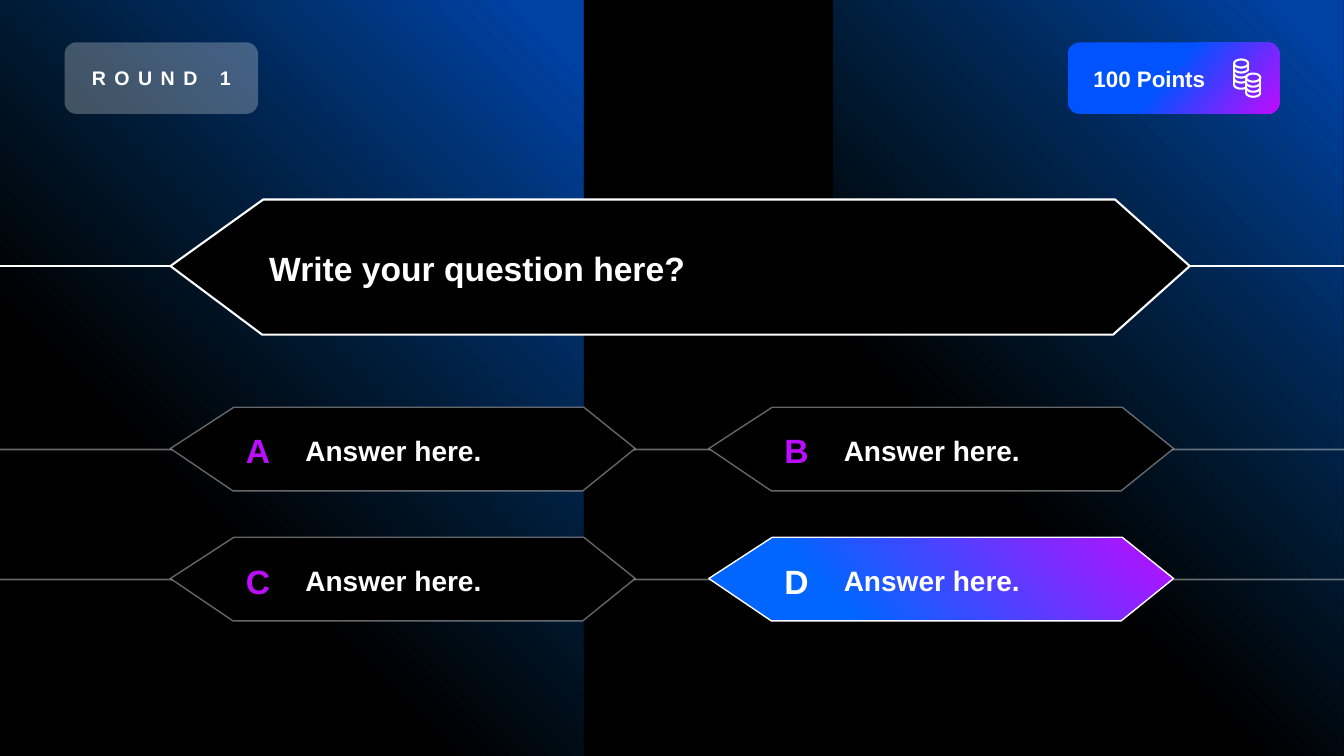
from math import cos, radians, sin

from lxml import etree
from pptx import Presentation
from pptx.dml.color import RGBColor
from pptx.enum import shapes, text
from pptx.oxml import ns
from pptx.util import Inches, Pt

BLACK = RGBColor(0x00, 0x00, 0x00)
WHITE = RGBColor(0xFF, 0xFF, 0xFF)
PURPLE = RGBColor(0xBD, 0x0D, 0xFF)
BLUE = RGBColor(0x00, 0x66, 0xFF)
ROYAL = RGBColor(0x00, 0x53, 0xFF)
SKY = RGBColor(0x00, 0x70, 0xC0)

WIDE, HIGH = 13.33, 7.5
QUESTION = "Write your question here?"
ANSWERS = [
    [("A", "Answer here."), ("B", "Answer here.")],
    [("C", "Answer here."), ("D", "Answer here.")],
]
RIGHT = "D"
ROUND = "ROUND 1"
POINTS = "100 Points"

GLOW = [(6, BLUE, 63), (66, SKY, 0), (100, BLACK, 0)]
PICK = [(0, PURPLE, 100), (73, BLUE, 100)]
PRIZE = [(47, ROYAL, 100), (99, PURPLE, 100)]
PANELS = [(0, 0.01, 5.79, True), (8.27, 0, 5.06, False)]

ASK = [(1.69, 2.64), (2.61, 1.98), (11.06, 1.98), (11.8, 2.64), (11.04, 3.32), (2.6, 3.32)]
REPLY = [(0, 0.41), (0.63, 0), (4.1, 0), (4.61, 0.41), (4.09, 0.83), (0.62, 0.83)]
LEFT, TOP, STEP, DROP = 1.69, 4.04, 5.34, 1.29

COIN_W, COIN_H = 0.07, 0.04
STACKS = [
    (12.31, 0.63, 0.7, [(0.68, 0), (0.73, 30), (0.78, 45), (0.84, 45)]),
    (12.43, 0.77, 0.92, [(0.82, 0), (0.87, 0), (0.92, 0)]),
]

deck = Presentation()
deck.slide_width, deck.slide_height = Inches(WIDE), Inches(HIGH)
slide = deck.slides.add_slide(deck.slide_layouts[5])
slide.background.fill.solid()
slide.background.fill.fore_color.rgb = BLACK
items = slide.shapes


def box(*sizes):
    return [Inches(size) for size in sizes]


def node(parent, tag, **marks):
    return etree.SubElement(parent, ns.qn("a:" + tag), **marks)


def fade(color, alpha):
    if alpha < 100:
        node(color, "alpha", val=str(alpha * 1000))


def fill(shape, rgb, alpha=100):
    shape.fill.solid()
    shape.fill.fore_color.rgb = rgb
    fade(shape._element.spPr.find(".//" + ns.qn("a:srgbClr")), alpha)


def blend(shape, stops, angle=None):
    shape.fill.gradient()
    grad = shape._element.spPr.find(ns.qn("a:gradFill"))
    grad.clear()
    grad.set("rotWithShape", "1")
    steps = node(grad, "gsLst")
    for place, rgb, alpha in stops:
        stop = node(steps, "gs", pos=str(place * 1000))
        fade(node(stop, "srgbClr", val=str(rgb)), alpha)
    if angle is None:
        ring = node(grad, "path", path="circle")
        node(ring, "fillToRect", l="100000", b="100000")
        node(grad, "tileRect", t="-100000", r="-100000")
    else:
        node(grad, "lin", ang=str(angle * 60000), scaled="0")


def stroke(shape, width, alpha=100):
    shape.line.color.rgb = WHITE
    shape.line.width = Pt(width)
    ln = shape._element.spPr.find(ns.qn("a:ln"))
    fade(ln.find(".//" + ns.qn("a:srgbClr")), alpha)


def rule(y, width, alpha=100):
    line = items.add_connector(shapes.MSO_CONNECTOR.STRAIGHT, *box(0, y, WIDE, y))
    stroke(line, width, alpha)
    node(line._element.spPr, "effectLst")


def trace(points, closed=True):
    spots = [box(*point) for point in points]
    pen = items.build_freeform(*spots[0])
    pen.add_line_segments(spots[1:], close=closed)
    shape = pen.convert_to_shape()
    shape.shadow.inherit = False
    return shape


def block(kind, place):
    shape = items.add_shape(kind, *box(*place))
    shape.shadow.inherit = False
    shape.line.fill.background()
    return shape


def write(shape, words, size, rgb=WHITE, align=text.PP_ALIGN.LEFT):
    frame = shape.text_frame
    frame.text = words
    frame.word_wrap = True
    frame.auto_size = text.MSO_AUTO_SIZE.NONE
    frame.vertical_anchor = text.MSO_ANCHOR.MIDDLE
    para = frame.paragraphs[0]
    para.alignment = align
    font = para.font
    font.name, font.size, font.bold = "Arial", Pt(size), True
    font.color.rgb = rgb
    return para


def arc(x, y, start, end):
    turns = range(start, end - 1, -15)
    return [(x + COIN_W * cos(radians(t)), y + COIN_H * sin(radians(t))) for t in turns]


def etch(points, closed=False):
    shape = trace(points, closed)
    shape.fill.background()
    stroke(shape, 1.5)


for x, y, width, flip in PANELS:
    panel = block(shapes.MSO_SHAPE.RECTANGLE, (x, y, width, HIGH - y))
    blend(panel, GLOW)
    if flip:
        panel._element.spPr.xfrm.set("flipH", "1")

rule(2.64, 1.5)
frame = trace(ASK)
fill(frame, BLACK)
stroke(frame, 1.5)
title = items.title
title.left, title.top, title.width, title.height = box(2.57, 1.99, 8.42, 1.33)
write(title, QUESTION, 24)
items._spTree.append(title._element)

for row, pair in enumerate(ANSWERS):
    y = TOP + row * DROP
    rule(y + 0.42, 1.25, 40)
    for col, (key, words) in enumerate(pair):
        x = LEFT + col * STEP
        won = key == RIGHT
        frame = trace([(x + dx, y + dy) for dx, dy in REPLY])
        if won:
            blend(frame, PICK)
        else:
            fill(frame, BLACK)
        stroke(frame, 1, 100 if won else 40)
        label = items.add_textbox(*box(x + 1.24, y + 0.03, 2.32, 0.8))
        write(label, words, 20)
        mark = items.add_textbox(*box(x + 0.61, y + 0.03, 0.52, 0.8))
        write(mark, key, 24, WHITE if won else PURPLE, text.PP_ALIGN.CENTER)

prize = block(shapes.MSO_SHAPE.ROUNDED_RECTANGLE, (10.59, 0.42, 2.1, 0.71))
blend(prize, PRIZE, 40)
write(prize, POINTS, 16)
prize.text_frame.margin_left = Inches(0.22)

for x, top, wall, rims in STACKS:
    etch(arc(x, top, 360, 15), True)
    etch([(x - COIN_W, top), (x - COIN_W, rims[-1][0])])
    etch([(x + COIN_W, top), (x + COIN_W, wall)])
    for y, end in rims:
        etch(arc(x, y, 180, end))

badge = block(shapes.MSO_SHAPE.ROUNDED_RECTANGLE, (0.64, 0.42, 1.92, 0.71))
fill(badge, WHITE, 26)
para = write(badge, ROUND, 14, align=text.PP_ALIGN.CENTER)
para.runs[0].font._element.set("spc", "600")

deck.save("out.pptx")
